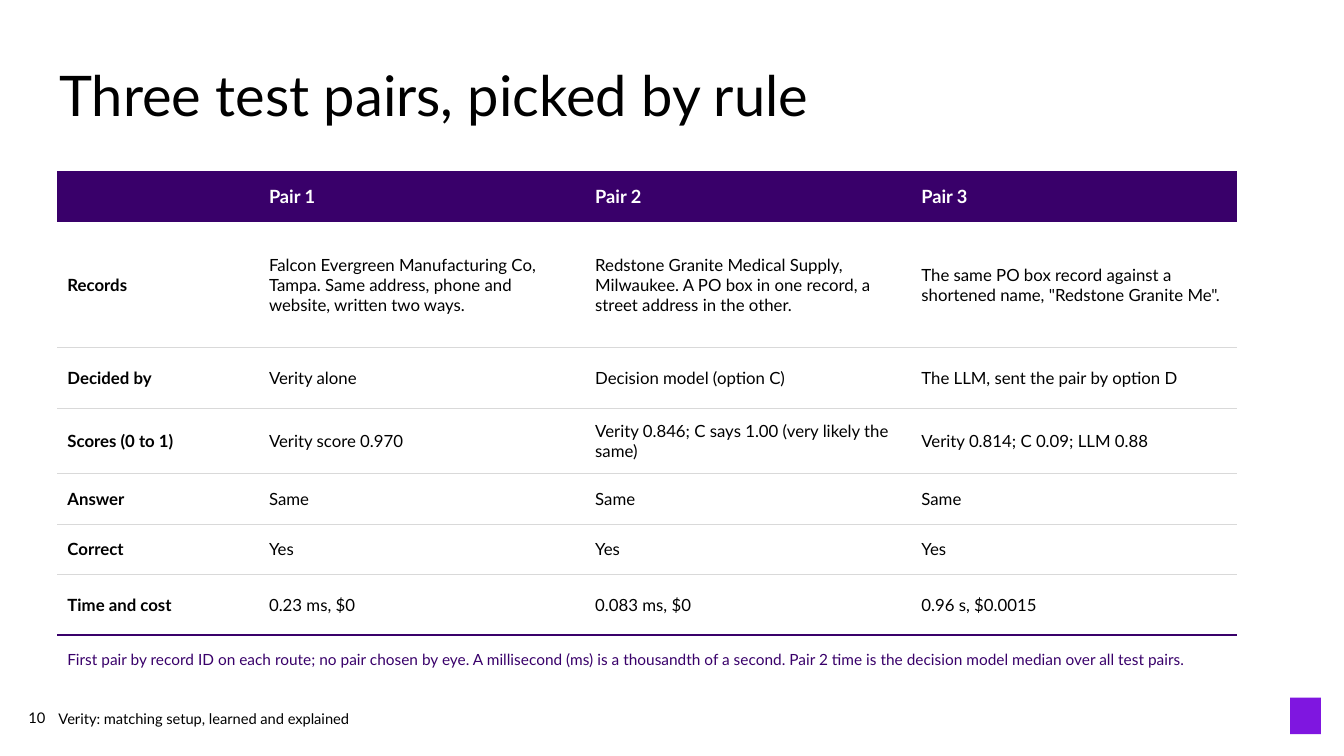
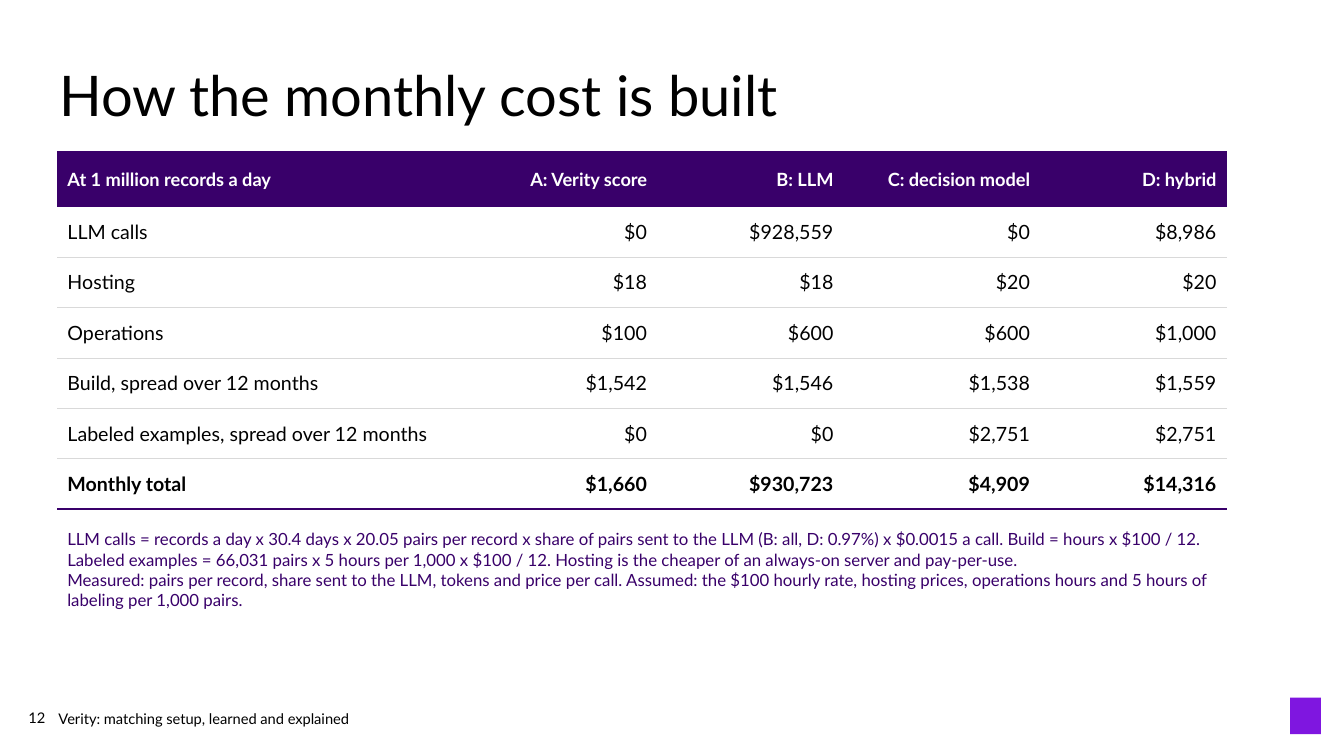
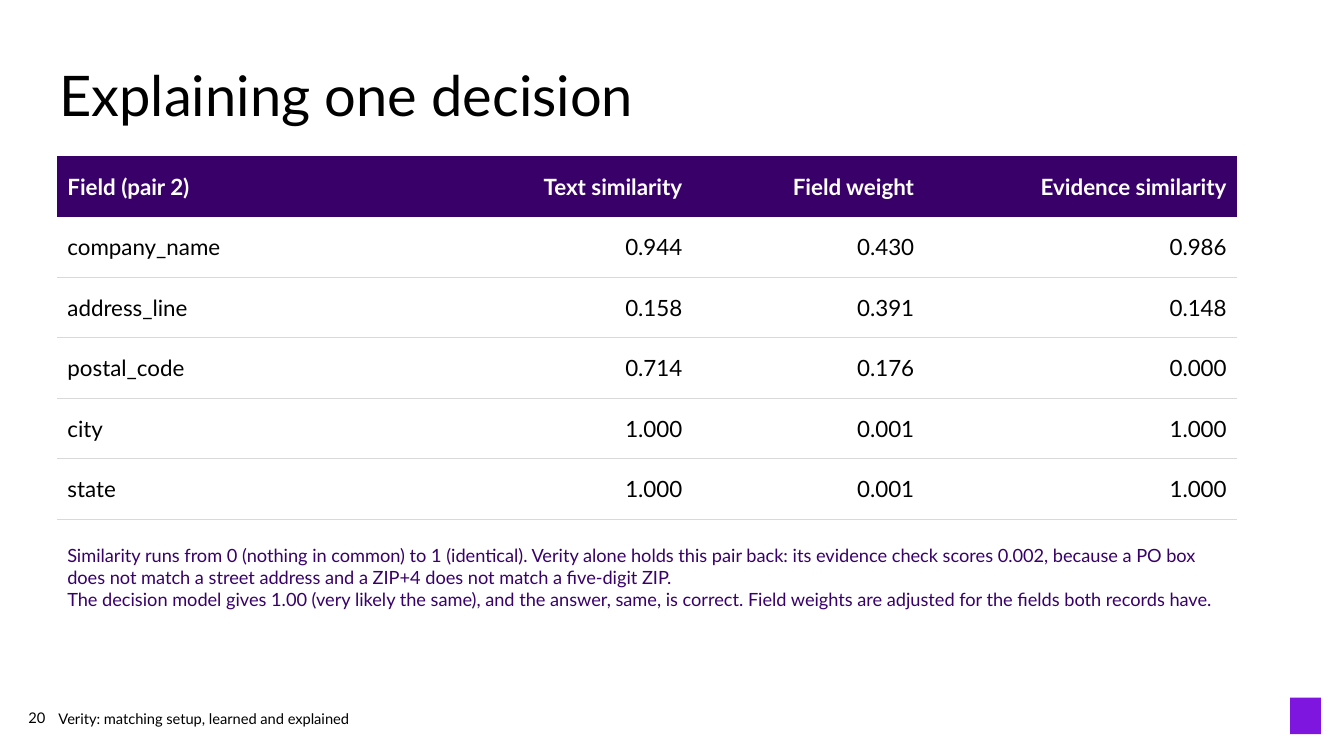
from dataclasses import dataclass

from lxml.etree import SubElement
from pptx import Presentation
from pptx.dml.color import RGBColor as RGB
from pptx.enum.shapes import MSO_SHAPE as SHAPE
from pptx.enum.text import MSO_ANCHOR as ANCHOR, PP_ALIGN as ALIGN
from pptx.oxml import parse_xml
from pptx.oxml.ns import nsdecls, qn
from pptx.util import Pt


@dataclass(frozen=True)
class Theme:
    font: str = "Lato"
    ink: str = "000000"
    paper: str = "FFFFFF"
    deep: str = "39006A"
    accent: str = "7F16E0"
    rule: str = "D9D9D9"
    title_size: float = 40
    footer_size: float = 10.5
    thin: float = 0.5
    thick: float = 2.25
    left: float = 41
    note_width: float = 842.4


THEME = Theme()
FOOTER = "Verity: matching setup, learned and explained"


def add_run(paragraph, text, size, color, bold=False):
    run = paragraph.add_run()
    run.text = text
    font = run.font
    font.name, font.size, font.bold = THEME.font, Pt(size), bold
    font.color.rgb = RGB.from_string(color)


def add_text(slide, box, paragraphs, size, color=THEME.ink, align=ALIGN.LEFT,
             spacing=None, margins=(0, 0)):
    frame = slide.shapes.add_textbox(*map(Pt, box)).text_frame
    frame.word_wrap = True
    frame.margin_left = frame.margin_right = Pt(margins[0])
    frame.margin_top = frame.margin_bottom = Pt(margins[1])
    for index, text in enumerate(paragraphs):
        paragraph = frame.add_paragraph() if index else frame.paragraphs[0]
        paragraph.alignment = align
        if spacing:
            paragraph.line_spacing = spacing
        add_run(paragraph, text, size, color)


def set_borders(cell, top=None, bottom=None):
    """Rule the top and bottom of a cell; each is (colour, width) or None."""
    properties = cell._tc.get_or_add_tcPr()
    sides = {"lnL": None, "lnR": None, "lnT": top, "lnB": bottom}
    for index, (side, rule) in enumerate(sides.items()):
        line = parse_xml(f"<a:{side} {nsdecls('a')}/>")
        if rule:
            color, width = rule
            line.set("w", str(Pt(width)))
            fill = SubElement(line, qn("a:solidFill"))
            SubElement(fill, qn("a:srgbClr")).set("val", color)
        else:
            SubElement(line, qn("a:noFill"))
        properties.insert(index, line)


def add_grid(slide, top, widths, heights, rows, head_size, body_size,
             number_align=ALIGN.RIGHT, bold_column=None, total_row=None, closing=THEME.thick):
    frame = slide.shapes.add_table(len(rows), len(widths), Pt(THEME.left), Pt(top),
                                   Pt(sum(widths)), Pt(sum(heights)))
    table = frame.table
    table.first_row = table.horz_banding = False
    for column, width in zip(table.columns, widths):
        column.width = Pt(width)
    for row, height in zip(table.rows, heights):
        row.height = Pt(height)

    thin = (THEME.rule, THEME.thin)
    last = (THEME.deep if closing == THEME.thick else THEME.rule, closing)
    for r, values in enumerate(rows):
        head = r == 0
        for c, value in enumerate(values):
            cell = table.cell(r, c)
            cell.vertical_anchor = ANCHOR.MIDDLE
            if head:
                cell.fill.solid()
                cell.fill.fore_color.rgb = RGB.from_string(THEME.deep)
                set_borders(cell)
            else:
                cell.fill.background()
                set_borders(cell, top=thin if r > 1 else None,
                            bottom=last if r == len(rows) - 1 else thin)
            paragraph = cell.text_frame.paragraphs[0]
            paragraph.alignment = number_align if c else ALIGN.LEFT
            if value:
                add_run(paragraph, value, head_size if head else body_size,
                        THEME.paper if head else THEME.ink,
                        head or c == bold_column or r == total_row)


def add_note(slide, top, height, paragraphs, size):
    add_text(slide, (THEME.left, top, THEME.note_width, height), paragraphs, size,
             THEME.deep, margins=(7.2, 3.6))


def add_frame(deck, title, number):
    """Blank slide with its title, footer, page number and corner mark."""
    slide = deck.slides.add_slide(deck.slide_layouts[6])
    add_text(slide, (42.5, 49, 842, 50.4), [title], THEME.title_size, spacing=0.9)
    add_text(slide, (41.8, 506.9, 324, 18.7), [FOOTER], THEME.footer_size)
    add_text(slide, (0, 507.6, 32.4, 21.6), [str(number)], THEME.footer_size,
             align=ALIGN.RIGHT, spacing=0.9)
    mark = slide.shapes.add_shape(SHAPE.RECTANGLE, Pt(921.6), Pt(498.4), Pt(22), Pt(26))
    mark.shadow.inherit = False
    mark.fill.solid()
    mark.fill.fore_color.rgb = RGB.from_string(THEME.accent)
    mark.line.fill.background()
    return slide


def add_pairs_slide(deck):
    slide = add_frame(deck, "Three test pairs, picked by rule", 10)
    rows = [
        ("", "Pair 1", "Pair 2", "Pair 3"),
        ("Records",
         "Falcon Evergreen Manufacturing Co, Tampa. Same address, phone and website, "
         "written two ways.",
         "Redstone Granite Medical Supply, Milwaukee. A PO box in one record, "
         "a street address in the other.",
         'The same PO box record against a shortened name, "Redstone Granite Me".'),
        ("Decided by", "Verity alone", "Decision model (option C)",
         "The LLM, sent the pair by option D"),
        ("Scores (0 to 1)", "Verity score 0.970",
         "Verity 0.846; C says 1.00 (very likely the same)",
         "Verity 0.814; C 0.09; LLM 0.88"),
        ("Answer", "Same", "Same", "Same"),
        ("Correct", "Yes", "Yes", "Yes"),
        ("Time and cost", "0.23 ms, $0", "0.083 ms, $0", "0.96 s, $0.0015"),
    ]
    add_grid(slide, 122.4, [144] + [233] * 3, [36, 90, 43.2, 46.8, 36, 36, 43.2], rows,
             head_size=13, body_size=12, number_align=ALIGN.LEFT, bold_column=0)
    add_note(slide, 460.8, 36, [
        "First pair by record ID on each route; no pair chosen by eye. A millisecond (ms) is "
        "a thousandth of a second. Pair 2 time is the decision model median over all test pairs.",
    ], 11)


def add_cost_slide(deck):
    slide = add_frame(deck, "How the monthly cost is built", 12)
    rows = [
        ("At 1 million records a day", "A: Verity score", "B: LLM", "C: decision model",
         "D: hybrid"),
        ("LLM calls", "$0", "$928,559", "$0", "$8,986"),
        ("Hosting", "$18", "$18", "$20", "$20"),
        ("Operations", "$100", "$600", "$600", "$1,000"),
        ("Build, spread over 12 months", "$1,542", "$1,546", "$1,538", "$1,559"),
        ("Labeled examples, spread over 12 months", "$0", "$0", "$2,751", "$2,751"),
        ("Monthly total", "$1,660", "$930,723", "$4,909", "$14,316"),
    ]
    add_grid(slide, 108, [295.2, 133.2, 133.2, 140.4, 133.2], [39.6] + [36] * 6, rows,
             head_size=13, body_size=14, total_row=6)
    add_note(slide, 374.4, 126, [
        "LLM calls = records a day x 30.4 days x 20.05 pairs per record x share of pairs sent "
        "to the LLM (B: all, D: 0.97%) x $0.0015 a call. Build = hours x $100 / 12. Labeled "
        "examples = 66,031 pairs x 5 hours per 1,000 x $100 / 12. Hosting is the cheaper of an "
        "always-on server and pay-per-use.",
        "Measured: pairs per record, share sent to the LLM, tokens and price per call. Assumed: "
        "the $100 hourly rate, hosting prices, operations hours and 5 hours of labeling per "
        "1,000 pairs.",
    ], 12)


def add_decision_slide(deck):
    slide = add_frame(deck, "Explaining one decision", 20)
    rows = [
        ("Field (pair 2)", "Text similarity", "Field weight", "Evidence similarity"),
        ("company_name", "0.944", "0.430", "0.986"),
        ("address_line", "0.158", "0.391", "0.148"),
        ("postal_code", "0.714", "0.176", "0.000"),
        ("city", "1.000", "0.001", "1.000"),
        ("state", "1.000", "0.001", "1.000"),
    ]
    add_grid(slide, 111.6, [259.2, 194.4, 165.6, 223.2], [43.2] * 6, rows,
             head_size=16, body_size=16, closing=THEME.thin)
    add_note(slide, 385.2, 100.8, [
        "Similarity runs from 0 (nothing in common) to 1 (identical). Verity alone holds this "
        "pair back: its evidence check scores 0.002, because a PO box does not match a street "
        "address and a ZIP+4 does not match a five-digit ZIP.",
        "The decision model gives 1.00 (very likely the same), and the answer, same, is correct. "
        "Field weights are adjusted for the fields both records have.",
    ], 13)


def main():
    deck = Presentation()
    deck.slide_width, deck.slide_height = Pt(960), Pt(540)
    add_pairs_slide(deck)
    add_cost_slide(deck)
    add_decision_slide(deck)
    deck.save("out.pptx")


if __name__ == "__main__":
    main()
